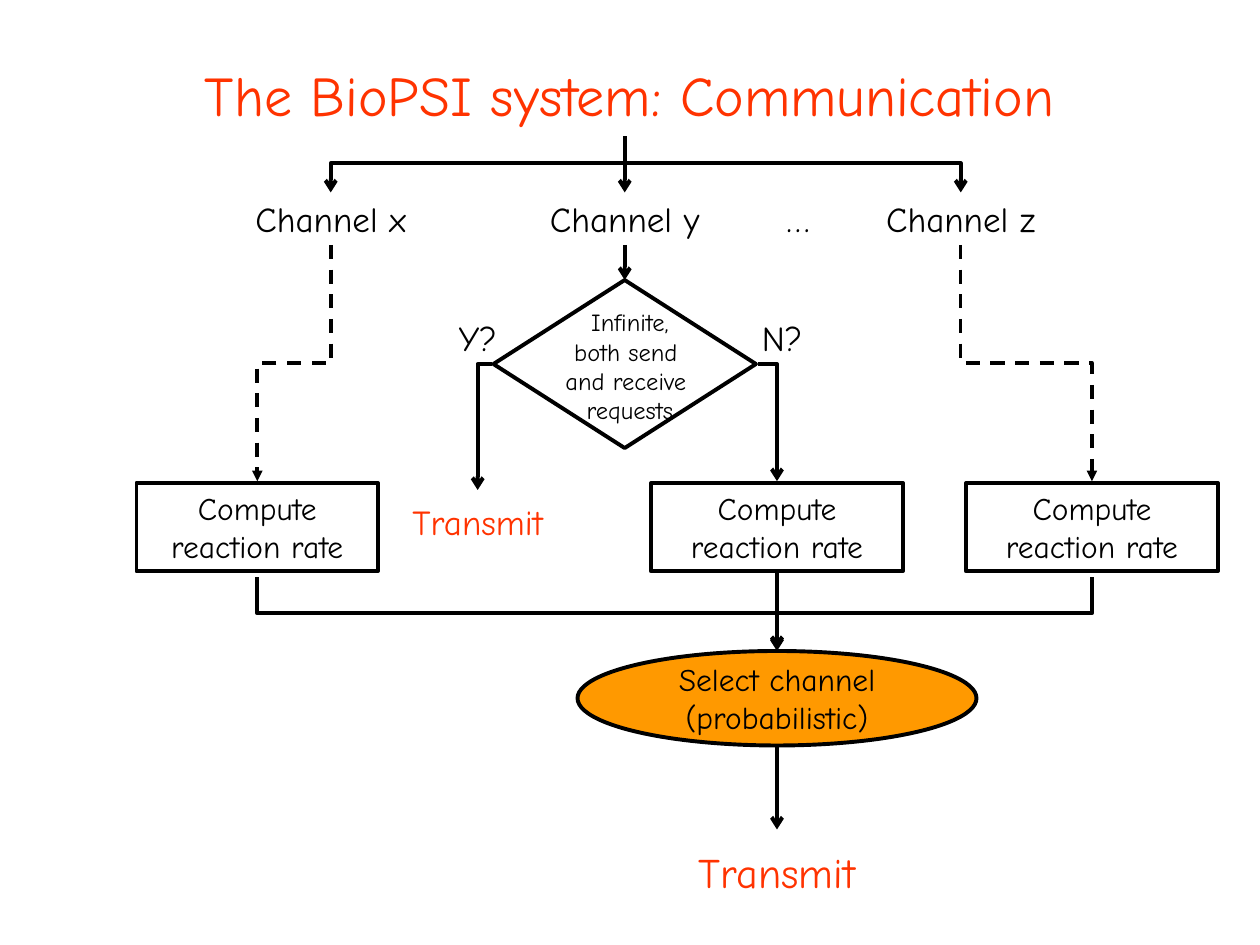
from dataclasses import dataclass
from typing import Optional

import lxml.etree
import pptx
import pptx.dml.color
import pptx.enum.dml
import pptx.enum.shapes
import pptx.enum.text
import pptx.oxml.ns
import pptx.util

RGBColor = pptx.dml.color.RGBColor
Shape = pptx.enum.shapes.MSO_SHAPE
Connector = pptx.enum.shapes.MSO_CONNECTOR
Anchor = pptx.enum.text.MSO_ANCHOR

BLACK = RGBColor(0x00, 0x00, 0x00)
WHITE = RGBColor(0xFF, 0xFF, 0xFF)
RED = RGBColor(0xFF, 0x33, 0x00)
ORANGE = RGBColor(0xFF, 0x99, 0x00)
FONT = "Comic Neue"

COLUMNS, ROWS = 120, 90
CHANNEL_X, CHANNEL_Y, CHANNEL_Z = 31.5, 59.5, 91.5
RATE_X, RATE_Y, RATE_Z = 24.5, 74, 104
TRANSMIT = 45.5
CHANNEL_TOP, CHANNEL_BOTTOM = 18.33, 23.33
DECISION_MIDDLE = 34.67
RATE_TOP, RATE_BOTTOM = 46, 54.4
SELECT_TOP = 62


@dataclass
class Node:
    text: str
    center: float
    top: float
    width: float
    height: float
    size: int = 20
    color: RGBColor = BLACK
    kind: Optional[Shape] = None
    fill: Optional[RGBColor] = None
    anchor: Anchor = Anchor.MIDDLE


@dataclass
class Route:
    start: tuple[float, float]
    end: tuple[float, float]
    bend: float = 0.5
    dashed: bool = False


def grid(count: float) -> int:
    return pptx.util.Inches(count * 10 / COLUMNS)


def write(shape, text: str, size: int, color: RGBColor, anchor: Anchor) -> None:
    frame = shape.text_frame
    frame.word_wrap = True
    frame.vertical_anchor = anchor
    paragraph = frame.paragraphs[0]
    paragraph.text = text
    paragraph.alignment = pptx.enum.text.PP_ALIGN.CENTER
    paragraph.font.name = FONT
    paragraph.font.size = pptx.util.Pt(size)
    paragraph.font.color.rgb = color


def draw_node(slide, node: Node):
    box = (grid(node.center - node.width / 2), grid(node.top), grid(node.width), grid(node.height))
    if node.kind is None:
        shape = slide.shapes.add_textbox(*box)
    else:
        shape = slide.shapes.add_shape(node.kind, *box)
        shape.shadow.inherit = False
        shape.line.color.rgb = BLACK
        shape.line.width = pptx.util.Pt(2.25)
        if node.fill is None:
            shape.fill.background()
        else:
            shape.fill.solid()
            shape.fill.fore_color.rgb = node.fill
    if node.text:
        write(shape, node.text, node.size, node.color, node.anchor)
    return shape


def draw_connector(slide, kind: Connector, route: Route):
    connector = slide.shapes.add_connector(kind, *map(grid, route.start + route.end))
    connector.line.color.rgb = BLACK
    connector.line.width = pptx.util.Pt(2 if route.dashed else 2.25)
    if route.dashed:
        connector.line.dash_style = pptx.enum.dml.MSO_LINE.DASH
    properties = connector._element.spPr
    line = properties.find(pptx.oxml.ns.qn("a:ln"))
    head = lxml.etree.SubElement(line, pptx.oxml.ns.qn("a:tailEnd"))
    head.set("type", "triangle" if route.dashed else "arrow")
    lxml.etree.SubElement(properties, pptx.oxml.ns.qn("a:effectLst"))
    return connector


def draw_straight(slide, route: Route, source=None, target=None) -> None:
    connector = draw_connector(slide, Connector.STRAIGHT, route)
    if source is not None:
        connector.begin_connect(source, 2)
    if target is not None:
        connector.end_connect(target, 0)


def draw_corner(slide, route: Route) -> None:
    connector = draw_connector(slide, Connector.ELBOW, route)
    connector._element.spPr.find(pptx.oxml.ns.qn("a:prstGeom")).set("prst", "bentConnector2")


def draw_step(slide, route: Route) -> None:
    connector = draw_connector(slide, Connector.ELBOW, route)
    (left, top), (right, bottom) = route.start, route.end
    length, breadth = bottom - top, abs(right - left)
    connector.left = grid((left + right - length) / 2)
    connector.top = grid((top + bottom - breadth) / 2)
    connector.width, connector.height = grid(length), grid(breadth)

    properties = connector._element.spPr
    transform = properties.find(pptx.oxml.ns.qn("a:xfrm"))
    heads_right = right > left
    transform.set("rot", str((270 if heads_right else 90) * 60000))
    transform.set("flipH", "1" if heads_right else "0")
    geometry = properties.find(pptx.oxml.ns.qn("a:prstGeom"))
    adjustments = geometry.find(pptx.oxml.ns.qn("a:avLst"))
    guide = lxml.etree.SubElement(adjustments, pptx.oxml.ns.qn("a:gd"))
    guide.set("name", "adj1")
    guide.set("fmla", f"val {round(route.bend * 100000)}")


def main() -> None:
    presentation = pptx.Presentation()
    presentation.slide_width = grid(COLUMNS)
    presentation.slide_height = grid(ROWS)
    slide = presentation.slides.add_slide(presentation.slide_layouts[5])

    title = slide.shapes.title
    title.left, title.top, title.width, title.height = map(grid, (6, 4, 108, 10))
    write(title, "The BioPSI system: Communication", 32, RED, Anchor.MIDDLE)

    channels = {
        name: draw_node(slide, Node(f"Channel {name}", center, CHANNEL_TOP, 25, 5))
        for name, center in (("x", CHANNEL_X), ("y", CHANNEL_Y), ("z", CHANNEL_Z))
    }
    decision = draw_node(
        slide, Node("", CHANNEL_Y, 26.67, 25, 16, kind=Shape.FLOWCHART_DECISION, fill=WHITE))
    rates = {
        center: draw_node(slide, Node(
            "Compute reaction rate", center, RATE_TOP, width, RATE_BOTTOM - RATE_TOP,
            size=18, kind=Shape.RECTANGLE, anchor=Anchor.TOP))
        for center, width in ((RATE_X, 23), (RATE_Y, 24), (RATE_Z, 24))
    }
    selection = draw_node(slide, Node(
        "Select channel (probabilistic)", RATE_Y, SELECT_TOP, 38, 9,
        size=18, kind=Shape.OVAL, fill=ORANGE))
    result = draw_node(slide, Node("Transmit", RATE_Y, 79, 51, 8, size=24, color=RED))
    for label in (
        Node("…", 76, 18.83, 8, 4),
        Node("Infinite,\vboth send \vand receive \vrequests", 60, 28.67, 30, 12.5,
             size=14, anchor=Anchor.TOP),
        Node("Transmit", TRANSMIT, 46.67, 23, 6, color=RED),
        Node("Y?", 45.5, 28.67, 13, 7),
        Node("N?", 74.5, 28.67, 13, 7),
    ):
        draw_node(slide, label)

    source = (CHANNEL_Y, 13)
    draw_straight(slide, Route(source, (CHANNEL_Y, CHANNEL_TOP)), target=channels["y"])
    draw_straight(slide, Route((CHANNEL_Y, CHANNEL_BOTTOM), (CHANNEL_Y, 26.67)),
                  channels["y"], decision)
    draw_straight(slide, Route((RATE_Y, RATE_BOTTOM), (RATE_Y, SELECT_TOP)),
                  rates[RATE_Y], selection)
    draw_straight(slide, Route((RATE_Y, 71), (RATE_Y, 79)), target=result)

    draw_corner(slide, Route((46.83, DECISION_MIDDLE), (TRANSMIT, 46.67)))
    draw_corner(slide, Route((72.17, DECISION_MIDDLE), (RATE_Y, 45.83)))

    for route in (
        Route(source, (CHANNEL_X, CHANNEL_TOP), bend=0.48),
        Route(source, (CHANNEL_Z, CHANNEL_TOP), bend=0.48),
        Route((RATE_X, 55), (RATE_Y, 61.83)),
        Route((RATE_Z, 55), (RATE_Y, 61.83)),
        Route((CHANNEL_X, CHANNEL_BOTTOM), (RATE_X, 45.83), dashed=True),
        Route((CHANNEL_Z, CHANNEL_BOTTOM), (RATE_Z, 45.83), dashed=True),
    ):
        draw_step(slide, route)

    presentation.save("out.pptx")


if __name__ == "__main__":
    main()
